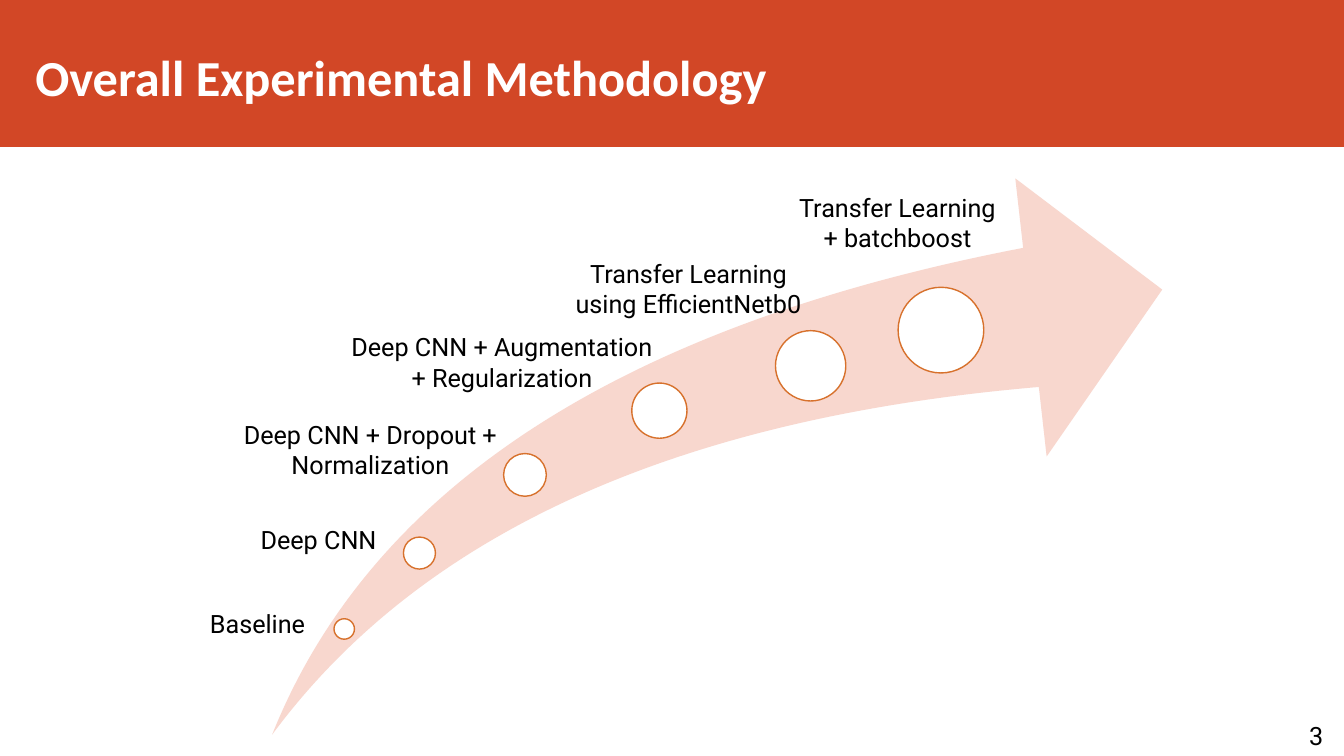
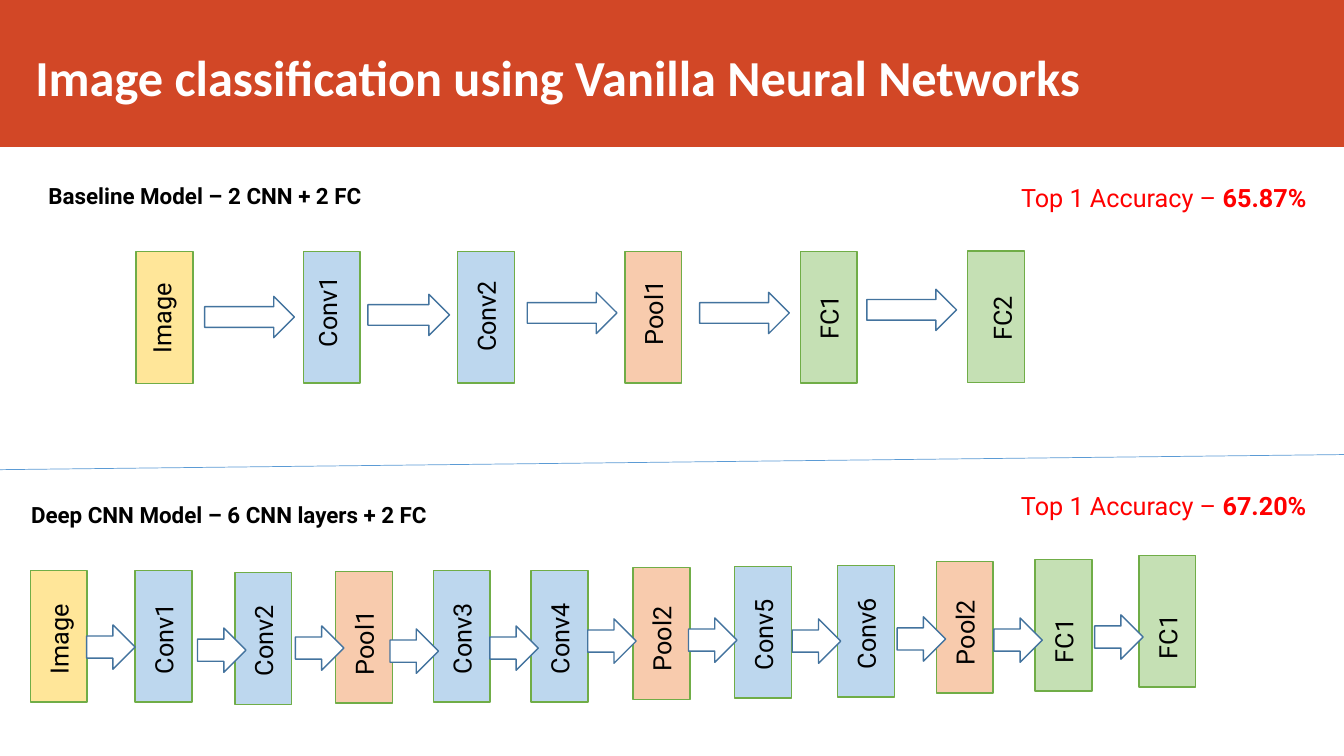
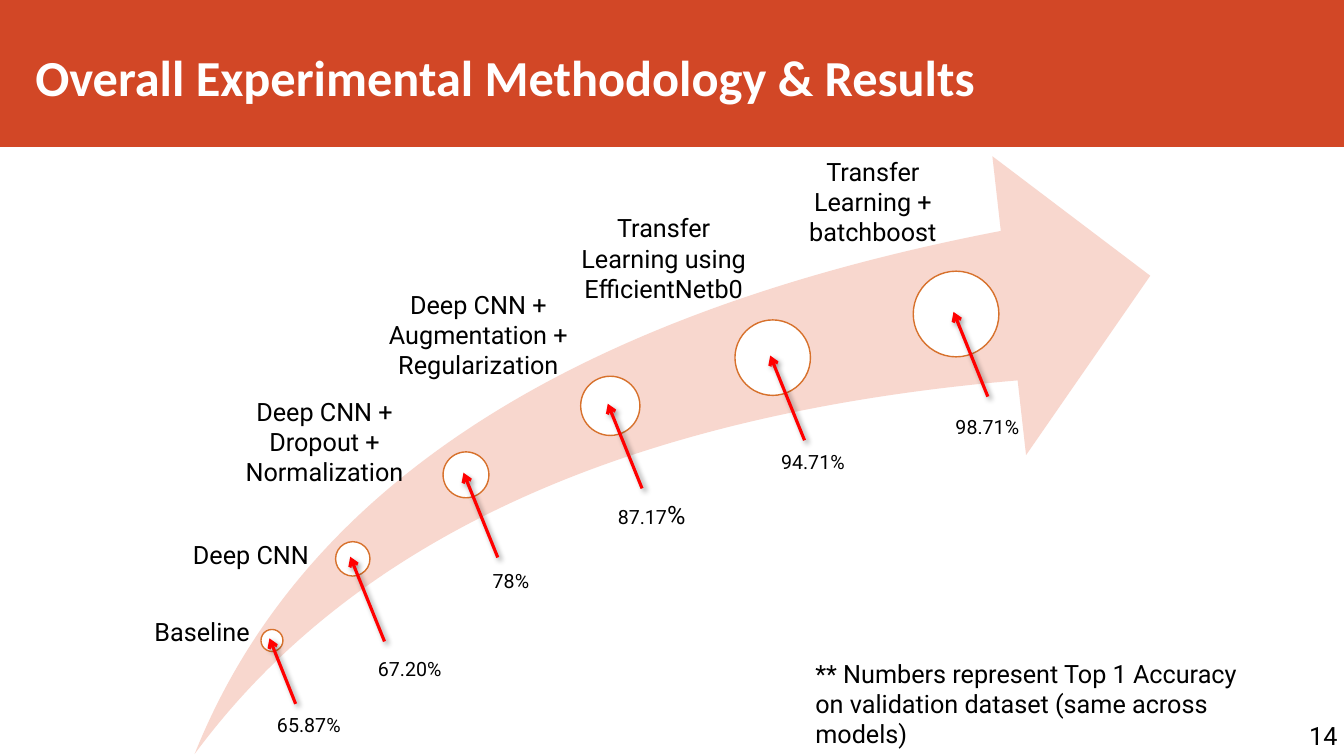
"""Build three slides on an image classification experiment and its results."""
from pptx import Presentation
from pptx.dml.color import RGBColor
from pptx.enum.shapes import MSO_CONNECTOR, MSO_SHAPE
from pptx.enum.text import MSO_ANCHOR, MSO_AUTO_SIZE, PP_ALIGN
from pptx.oxml import parse_xml
from pptx.oxml.ns import nsdecls, qn
from pptx.util import Pt

COLORS = {
    "band": "D24726", "swoosh": "F8D7CE", "ring": "D7712C", "white": "FFFFFF",
    "text": "000000", "accent": "FF0000", "box_line": "70AD47",
    "arrow_line": "43739E", "divider": "5B9BD5",
    "Image": "FFE699", "Conv": "BDD7EE", "Pool": "F8CBAD", "FC": "C5E0B4",
}
WIDTH, HEIGHT = 960, 540
BAND = (0, 0, WIDTH, 105)
TITLE_BOX = (18, -15.1, 846.7, 95)
TITLE_FORMAT = {"name": "Calibri", "size": Pt(36), "bold": True}
TITLE_ONLY, TITLE_AND_BODY = 5, 1

MILESTONES = [
    "Baseline", "Deep CNN", "Deep CNN + Dropout + Normalization",
    "Deep CNN + Augmentation + Regularization",
    "Transfer Learning using EfficientNetb0", "Transfer Learning + batchboost",
]
# centre x, centre y and diameter, in percent of the swoosh
SWOOSH_STOPS = [
    (8.1, 81, 2.3), (16.55, 67.35, 3.6), (28.4, 53.3, 4.8),
    (43.5, 41.75, 6.2), (60.5, 33.7, 7.9),
]
LAST_DIAMETER = 61.2
METHOD = {
    "title": "Overall Experimental Methodology",
    "swoosh": (194.4, 127.4, 635.8, 397.4),
    "last_center": (672.1, 235.8),
    "labels": [
        (140.4, 431.3, 87.1, 29), (175, 370.8, 105.1, 29), (164.9, 295.9, 199.4, 51),
        (237.6, 233.3, 241.9, 51), (391.7, 180.7, 200.2, 51), (559.4, 133.9, 163.4, 51),
    ],
    "number": ("3", 31.7),
}
RESULTS = {
    "title": "Overall Experimental Methodology & Results",
    "swoosh": (139, 111.6, 682.6, 427),
    "last_center": (682.9, 224.3),
    "labels": [
        (100.8, 437, 87.1, 29), (126.7, 381.6, 105.1, 29), (164.9, 279.4, 133.9, 73),
        (268.6, 203, 146.2, 73), (408.2, 148.3, 131.8, 73), (564.5, 108, 118.1, 73),
    ],
    "number": ("14", 38.9),
}
SCORES = [
    (["65.87%"], (190.8, 505.4, 83.5, 24.5)), (["67.20%"], (262.8, 465.8, 72.7, 24.5)),
    (["78%"], (344.9, 402.5, 93.6, 24.5)), (["87.17", "%"], (434.2, 352.8, 79.2, 29)),
    (["94.71%"], (550.8, 317.5, 62, 24.5)), (["98.71%"], (675.4, 293, 63.4, 24.5)),
]
POINTER_TIP = (-1.8, -1.5)
POINTER_REACH = [(18.7, 46.8)] + [(24.5, 60.5)] * 5
FOOTNOTE = "** Numbers represent Top 1 Accuracy on validation dataset (same across models)"
FOOTNOTE_BOX = (575.3, 466.6, 337, 51)

LAYER_SIZE = (40.6, 94.1)
LABEL_THICKNESS = 29
# name, left, top, rise of the label above the box foot, sideways label shift
BASELINE = {
    "layers": [
        ("Image", 97.2, 179.8, 14.6, -2.2), ("Conv1", 216.7, 179.5, 18.4, -3.2),
        ("Conv2", 326.9, 179.5, 15.1, 0), ("Pool1", 446.4, 179.5, 19.8, 0),
        ("FC1", 571.7, 179.5, 24, 0), ("FC2", 691.2, 179.3, 23, 4.3),
    ],
    "label_length": 70,
    "arrow_height": 29.5,
    "arrows": [
        (146.2, 211.7, 64.1), (262.8, 210.2, 58.3), (376.6, 208.8, 64.1),
        (499.7, 208.8, 64.1), (619.2, 206.6, 64.1),
    ],
    "accuracy": ("65.87%", (722.2, 126.7, 219.6, 29)),
}
DEEP_NAMES = ["Image", "Conv1", "Conv2", "Pool1", "Conv3", "Conv4",
              "Pool2", "Conv5", "Conv6", "Pool2", "FC1", "FC1"]
DEEP_LEFTS = [21.6, 96.5, 167.8, 239.8, 309.6, 379.4,
              452.2, 524.9, 598.3, 668.9, 739.4, 813.6]
DEEP_TOPS = [407.5, 407.5, 409, 408.2, 407.5, 407.5,
             405.4, 404.6, 403.9, 401, 399.6, 396.7]
DEEP_ARROWS = [
    (61.9, 446.4), (141.1, 448.6), (211, 447.1), (278.6, 449.3), (349.9, 447.1),
    (419.8, 442.1), (491.8, 441.4), (565.9, 442.1), (640.8, 440.6),
    (709.9, 441.4), (781.9, 439.2),
]
DEEP = {
    "layers": [(name, left, top, 13, 0)
               for name, left, top in zip(DEEP_NAMES, DEEP_LEFTS, DEEP_TOPS)],
    "label_length": 162,
    "arrow_height": 31.7,
    "arrows": [(left, top, 34.6) for left, top in DEEP_ARROWS],
    "accuracy": ("67.20%", (722.2, 347, 230.4, 29)),
}
NETWORK_TITLE = "Image classification using Vanilla Neural Networks"
BASELINE_HEADING = ("Baseline Model – 2 CNN + 2 FC", (27.4, 116.6, 828, 49.7))
DEEP_HEADING = ("Deep CNN Model – 6 CNN layers + 2 FC", (15.1, 354.2, 313.9, 26.6))
DIVIDER = ((0, 335.5), (WIDTH, 324.7))
BODY_SPACING = {"line_spacing": 1.5, "space_before": Pt(4.8), "space_after": Pt(12)}

SHADOW = (
    f'<a:effectLst {nsdecls("a")}><a:outerShdw blurRad="{Pt(4)}" dist="{Pt(3)}" '
    'dir="2700000" algn="tl" rotWithShape="0"><a:srgbClr val="000000">'
    '<a:alpha val="40000"/></a:srgbClr></a:outerShdw></a:effectLst>'
)
NO_EFFECT = f'<a:effectLst {nsdecls("a")}/>'
ARROWHEAD = f'<a:tailEnd {nsdecls("a")} type="arrow"/>'


def color(name):
    return RGBColor.from_string(COLORS[name])


def points(values):
    return [Pt(value) for value in values]


def apply(target, values):
    for name, value in values.items():
        setattr(target, name, value)


def place(shape, box):
    apply(shape, dict(zip(("left", "top", "width", "height"), points(box))))


def write_run(paragraph, text, font_format, ink):
    run = paragraph.add_run()
    run.text = text
    apply(run.font, font_format)
    run.font.color.rgb = color(ink)


def roboto(size=18, bold=False):
    return {"name": "Roboto", "size": Pt(size), "bold": bold}


def add_shape(slide, kind, box, fill, line=None):
    shape = slide.shapes.add_shape(kind, *points(box))
    shape.shadow.inherit = False
    shape.fill.solid()
    shape.fill.fore_color.rgb = color(fill)
    if line:
        shape.line.color.rgb = color(line)
        shape.line.width = Pt(1)
    else:
        shape.line.fill.background()
    return shape


def add_text(slide, box, runs, ink="text", align=PP_ALIGN.LEFT, wrap=True):
    shape = slide.shapes.add_textbox(*points(box))
    apply(shape.text_frame, {"word_wrap": wrap, "auto_size": MSO_AUTO_SIZE.SHAPE_TO_FIT_TEXT})
    paragraph = shape.text_frame.paragraphs[0]
    paragraph.alignment = align
    for text, font_format in runs:
        write_run(paragraph, text, font_format, ink)
    return shape


def add_line(slide, start, end, ink, width, effect=NO_EFFECT, arrow=False):
    line = slide.shapes.add_connector(MSO_CONNECTOR.STRAIGHT, *points(start + end))
    line.line.color.rgb = color(ink)
    line.line.width = Pt(width)
    properties = line.element.spPr
    if arrow:
        properties.find(qn("a:ln")).append(parse_xml(ARROWHEAD))
    properties.append(parse_xml(effect))


def add_slide(presentation, layout, title):
    slide = presentation.slides.add_slide(presentation.slide_layouts[layout])
    shape = slide.shapes.title
    place(shape, TITLE_BOX)
    apply(shape.text_frame, {"vertical_anchor": MSO_ANCHOR.BOTTOM, "word_wrap": True,
                             "auto_size": MSO_AUTO_SIZE.NONE})
    paragraph = shape.text_frame.paragraphs[0]
    paragraph.alignment = PP_ALIGN.LEFT
    write_run(paragraph, title, TITLE_FORMAT, "white")
    return slide


def add_master_band(presentation, slide):
    band = add_shape(slide, MSO_SHAPE.RECTANGLE, BAND, "band")
    presentation.slide_master.shapes.element.insert(2, band.element)


def add_roadmap(presentation, content):
    slide = add_slide(presentation, TITLE_ONLY, content["title"])
    left, top, width, height = content["swoosh"]
    swoosh = add_shape(slide, MSO_SHAPE.SWOOSH_ARROW, content["swoosh"], "swoosh")
    swoosh.adjustments[0] = swoosh.adjustments[1] = 0.25
    stops = [(left + width * x / 100, top + height * y / 100, width * size / 100)
             for x, y, size in SWOOSH_STOPS]
    stops.append((*content["last_center"], LAST_DIAMETER))
    for x, y, size in stops:
        circle = (x - size / 2, y - size / 2, size, size)
        add_shape(slide, MSO_SHAPE.OVAL, circle, "white", "ring")
    for text, box in zip(MILESTONES, content["labels"]):
        add_text(slide, box, [(text, roboto())], align=PP_ALIGN.CENTER)
    number, number_width = content["number"]
    add_text(slide, (928.1, 511.2, number_width, 29), [(number, roboto())])
    return slide, stops


def add_scores(slide, stops):
    for (x, y, _), (reach_x, reach_y) in zip(stops, POINTER_REACH):
        tip = (x + POINTER_TIP[0], y + POINTER_TIP[1])
        start = (tip[0] + reach_x, tip[1] + reach_y)
        add_line(slide, start, tip, "accent", 2.25, SHADOW, arrow=True)
    for texts, box in SCORES:
        add_text(slide, box, [(text, roboto(size)) for text, size in zip(texts, (14, 18))])
    add_text(slide, FOOTNOTE_BOX, [(FOOTNOTE, roboto())])


def add_network(slide, network):
    width, height = LAYER_SIZE
    length = network["label_length"]
    for name, left, top, rise, shift in network["layers"]:
        add_shape(slide, MSO_SHAPE.RECTANGLE, (left, top, width, height),
                  name.rstrip("0123456789"), "box_line")
        center_x = left + width / 2 + shift
        center_y = top + height - rise - length / 2
        box = (center_x - length / 2, center_y - LABEL_THICKNESS / 2, length, LABEL_THICKNESS)
        add_text(slide, box, [(name, roboto())]).rotation = 270
    for left, top, arrow_width in network["arrows"]:
        add_shape(slide, MSO_SHAPE.RIGHT_ARROW,
                  (left, top, arrow_width, network["arrow_height"]), "white", "arrow_line")
    accuracy, box = network["accuracy"]
    add_text(slide, box, [("Top 1 Accuracy – ", roboto()), (accuracy, roboto(bold=True))],
             "accent")


def add_networks_slide(presentation):
    slide = add_slide(presentation, TITLE_AND_BODY, NETWORK_TITLE)
    text, box = BASELINE_HEADING
    body = slide.placeholders[1]
    place(body, box)
    body.text_frame.auto_size = MSO_AUTO_SIZE.NONE
    paragraph = body.text_frame.paragraphs[0]
    apply(paragraph, BODY_SPACING)
    properties = next(body.element.iter(qn("a:pPr")))
    properties.set("marL", "0")
    properties.set("indent", "0")
    properties.append(parse_xml(f'<a:buNone {nsdecls("a")}/>'))
    write_run(paragraph, text, roboto(16, True), "text")
    add_network(slide, BASELINE)
    add_line(slide, *DIVIDER, "divider", 0.5)
    text, box = DEEP_HEADING
    add_text(slide, box, [(text, roboto(16, True))], wrap=False)
    add_network(slide, DEEP)


def main():
    presentation = Presentation()
    apply(presentation, {"slide_width": Pt(WIDTH), "slide_height": Pt(HEIGHT)})
    method_slide, _ = add_roadmap(presentation, METHOD)
    add_master_band(presentation, method_slide)
    add_networks_slide(presentation)
    add_scores(*add_roadmap(presentation, RESULTS))
    presentation.save("out.pptx")


if __name__ == "__main__":
    main()
